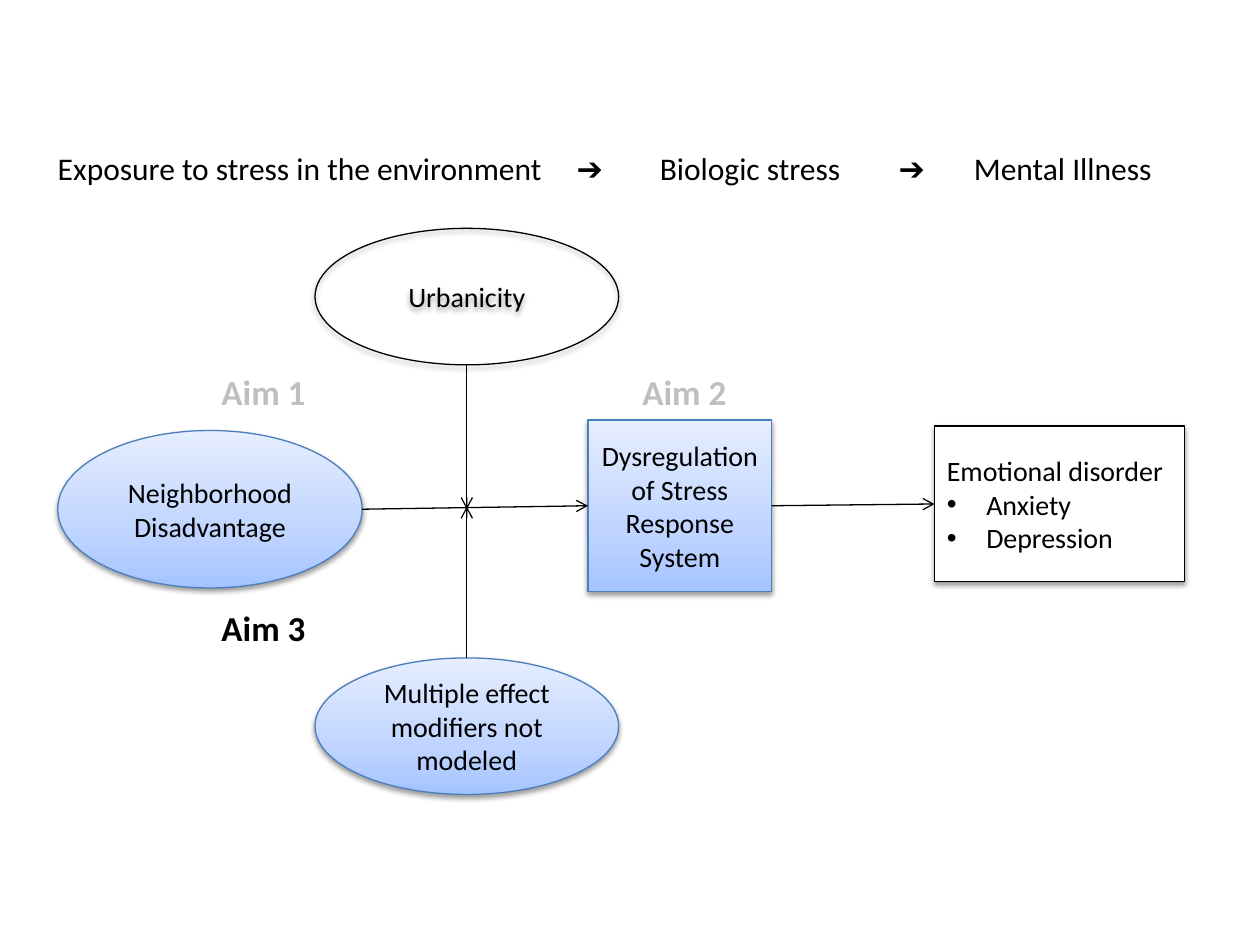
from dataclasses import dataclass

from lxml import etree
from pptx import Presentation
from pptx import util as u
from pptx.dml import color
from pptx.enum import shapes, text
from pptx.oxml import ns, parse_xml

COLORS = {
    "ink": "000000", "paper": "FFFFFF", "muted": "BFBFBF", "edge": "4B7EBC",
    "deep": "A4C4FF", "middle": "BFD4FF", "pale": "E6EEFF",
}
GRADIENT = ((0, "deep"), (35, "middle"), (100, "pale"))
NS = ns.nsdecls("a")
OVAL, RECT = shapes.MSO_SHAPE.OVAL, shapes.MSO_SHAPE.RECTANGLE
CENTER, LEFT = text.PP_ALIGN.CENTER, text.PP_ALIGN.LEFT


@dataclass
class Node:
    kind: int
    left: float
    top: float
    width: float
    height: float
    lines: tuple
    fill: str = "gradient"
    edge: str = "edge"
    align: int = CENTER

    @property
    def mid_x(self) -> float:
        return self.left + self.width / 2

    @property
    def mid_y(self) -> float:
        return self.top + self.height / 2


@dataclass
class Aim:
    label: str
    left: float
    top: float
    ink: str


def rgb(name: str) -> color.RGBColor:
    return color.RGBColor.from_string(COLORS[name])


def add_span(para, words: str, size: float, ink: str = "ink",
             bold: bool = False, face: str = "Calibri") -> None:
    span = para.add_run()
    span.text = words
    values = {"size": u.Pt(size), "bold": bold, "name": face}
    for key, value in values.items():
        setattr(span.font, key, value)
    span.font.color.rgb = rgb(ink)


def add_bullet(para) -> None:
    props = para._p.get_or_add_pPr()
    props.set("marL", str(u.Pt(22.5)))
    props.set("indent", str(-u.Pt(22.5)))
    props.append(parse_xml(f'<a:buFont {NS} typeface="Arial"/>'))
    props.append(parse_xml(f'<a:buChar {NS} char="•"/>'))


def fill_gradient(shape) -> None:
    shape.fill.gradient()
    shape.fill.gradient_angle = 90
    stops = shape._element.spPr.find(f".//{ns.qn('a:gsLst')}")
    for stop in list(stops):
        stops.remove(stop)
    for percent, name in GRADIENT:
        stops.append(parse_xml(f'<a:gs {NS} pos="{percent * 1000}">'
                               f'<a:srgbClr val="{COLORS[name]}"/></a:gs>'))


def add_shadow(shape) -> None:
    shape.shadow.inherit = False
    effects = shape._element.spPr.find(ns.qn("a:effectLst"))
    effects.append(parse_xml(
        f'<a:outerShdw {NS} blurRad="{u.Pt(3.1)}" dist="{u.Pt(1.6)}" dir="5400000" '
        f'rotWithShape="0"><a:srgbClr val="{COLORS["ink"]}">'
        '<a:alpha val="38000"/></a:srgbClr></a:outerShdw>'))


def add_node(page, node: Node):
    area = (u.Pt(v) for v in (node.left, node.top, node.width, node.height))
    shape = page.shapes.add_shape(node.kind, *area)
    if node.fill == "gradient":
        fill_gradient(shape)
    elif node.fill == "none":
        shape.fill.background()
    else:
        shape.fill.solid()
        shape.fill.fore_color.rgb = rgb(node.fill)
    shape.line.color.rgb = rgb(node.edge)
    shape.line.width = u.Pt(0.75)
    add_shadow(shape)
    frame = shape.text_frame
    frame.word_wrap = True
    frame.vertical_anchor = text.MSO_ANCHOR.MIDDLE
    for index, words in enumerate(node.lines):
        para = frame.add_paragraph() if index else frame.paragraphs[0]
        para.alignment = node.align
        if index:
            add_bullet(para)
        add_span(para, words, 16)
    return shape


def add_arrow(page, start: tuple, end: tuple):
    arrow = page.shapes.add_connector(
        shapes.MSO_CONNECTOR.STRAIGHT, *(u.Pt(v) for v in start + end))
    arrow.line.color.rgb = rgb("ink")
    arrow.line.width = u.Pt(0.75)
    etree.SubElement(arrow.line._ln, ns.qn("a:tailEnd"), type="arrow")
    etree.SubElement(arrow._element.spPr, ns.qn("a:effectLst"))
    return arrow


def add_aim(page, aim: Aim) -> None:
    box = page.shapes.add_textbox(u.Pt(aim.left), u.Pt(aim.top), u.Pt(119.5), u.Pt(31.5))
    box.text_frame.word_wrap = True
    box.text_frame.auto_size = text.MSO_AUTO_SIZE.SHAPE_TO_FIT_TEXT
    add_span(box.text_frame.paragraphs[0], aim.label, 20, aim.ink, bold=True)


def set_title(page) -> None:
    title = page.shapes.title
    place = {"left": 15, "top": 72, "width": 662, "height": 47.5}
    for key, value in place.items():
        setattr(title, key, u.Pt(value))
    frame = title.text_frame
    values = {"word_wrap": True, "auto_size": text.MSO_AUTO_SIZE.NONE,
              "vertical_anchor": text.MSO_ANCHOR.MIDDLE, "margin_left": u.Pt(18)}
    for key, value in values.items():
        setattr(frame, key, value)
    para = frame.paragraphs[0]
    para.alignment = LEFT
    # Tab stops set the gaps around the arrows
    tabs = "".join(f'<a:tab pos="{u.Pt(stop)}" algn="l"/>'
                   for stop in (296.5, 344, 480.5, 523.5))
    para._p.get_or_add_pPr().append(parse_xml(f"<a:tabLst {NS}>{tabs}</a:tabLst>"))
    stages = ("Exposure to stress in the environment", "Biologic stress", "Mental Illness")
    for index, stage in enumerate(stages):
        if index:
            add_span(para, "\t", 18)
            add_span(para, "➔", 18, face="Arial")
            add_span(para, "\t", 18)
        add_span(para, stage, 18)


def main() -> None:
    deck = Presentation()
    deck.slide_width, deck.slide_height = u.Pt(720), u.Pt(540)
    page = deck.slides.add_slide(deck.slide_layouts[5])
    set_title(page)

    # Model factors
    neighborhood = Node(OVAL, 33, 246, 174, 90, ("Neighborhood Disadvantage",))
    stress = Node(RECT, 336, 240, 105, 98, ("Dysregulation of Stress Response System",))
    disorder = Node(RECT, 534, 243.5, 143, 89,
                    ("Emotional disorder", "Anxiety", "Depression"), "paper", "ink", LEFT)
    urbanicity = Node(OVAL, 180, 130.5, 173.5, 78, ("Urbanicity",), "none", "ink")
    modifiers = Node(OVAL, 180, 376, 173.5, 78, ("Multiple effect modifiers not modeled",))
    add_node(page, neighborhood)
    stress_box = add_node(page, stress)
    disorder_box = add_node(page, disorder)
    add_node(page, urbanicity)
    add_node(page, modifiers)

    # Causal path
    exposure = add_arrow(page, (neighborhood.left + neighborhood.width, neighborhood.mid_y),
                         (stress.left, stress.mid_y))
    exposure.end_connect(stress_box, 1)
    outcome = add_arrow(page, (stress.left + stress.width, stress.mid_y),
                        (disorder.left, disorder.mid_y))
    outcome.begin_connect(stress_box, 3)
    outcome.end_connect(disorder_box, 1)

    # Effect modifiers meet the causal path
    middle = urbanicity.mid_x
    add_arrow(page, (middle, urbanicity.top + urbanicity.height), (middle, 291))
    add_arrow(page, (middle, modifiers.top), (middle, 289.5))

    # Aims
    for aim in (Aim("Aim 1", 119.5, 208, "muted"), Aim("Aim 2", 360, 208, "muted"),
                Aim("Aim 3", 119.5, 343, "ink")):
        add_aim(page, aim)

    deck.save("out.pptx")


if __name__ == "__main__":
    main()
